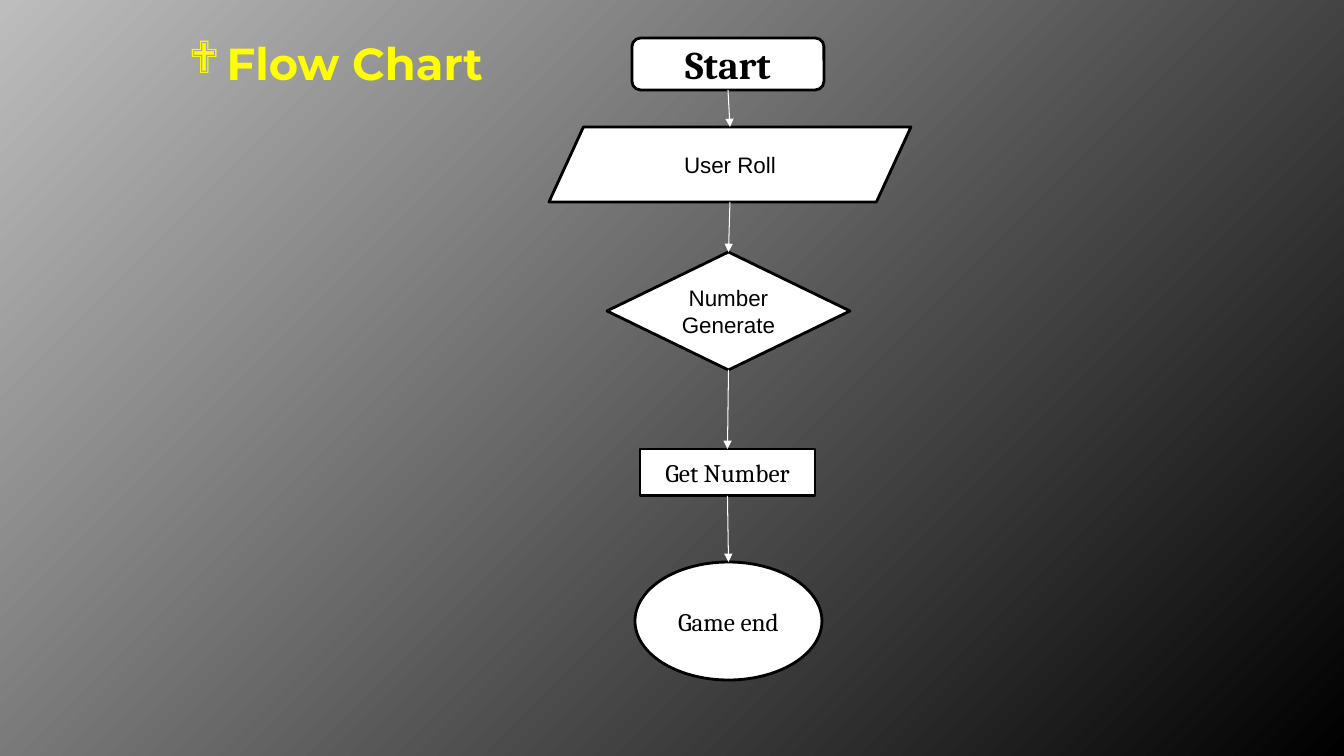
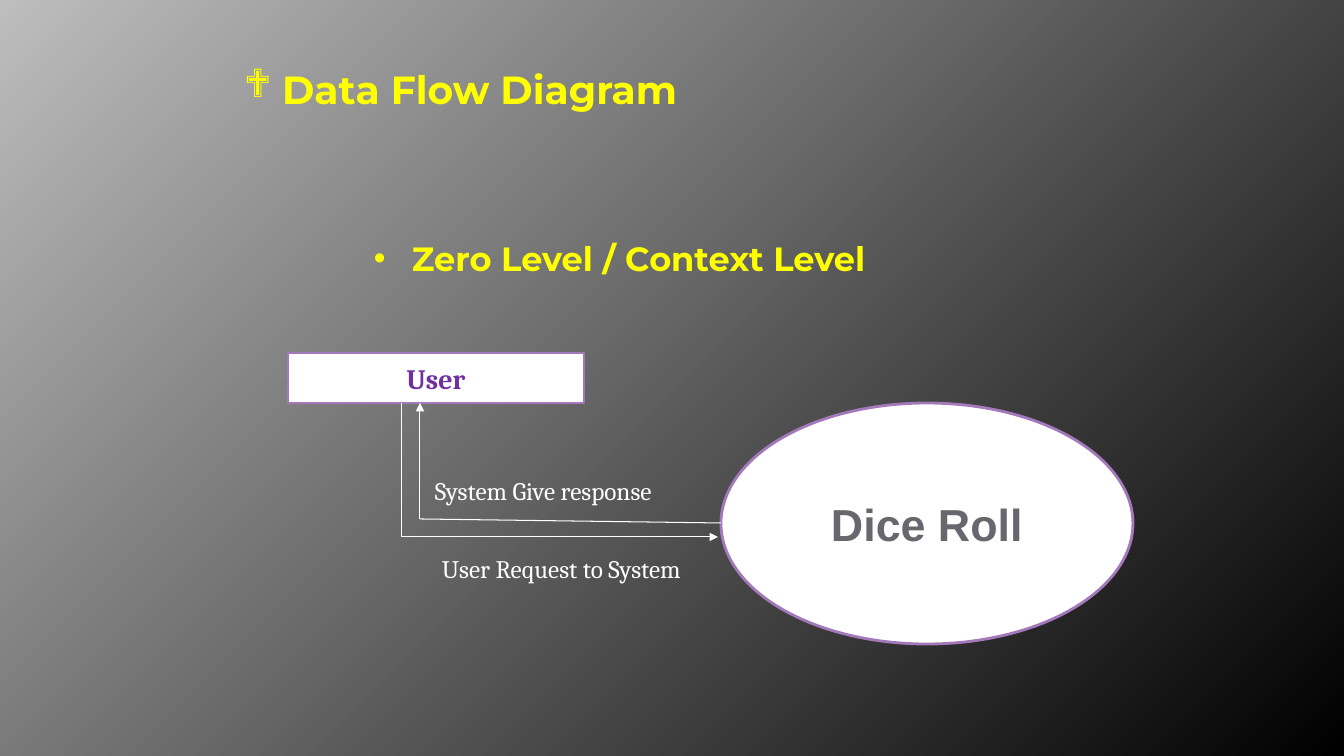
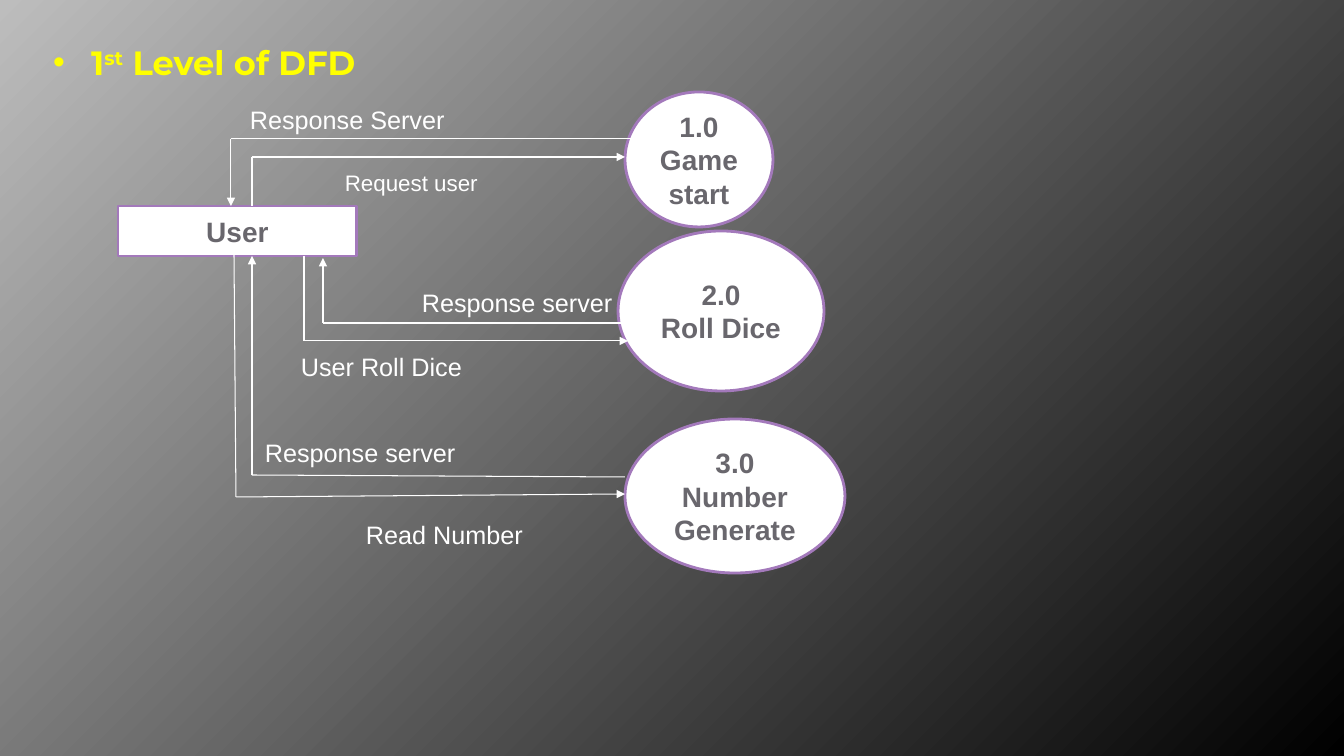
from dataclasses import dataclass

from lxml import etree
from pptx import Presentation
from pptx.dml.color import RGBColor
from pptx.enum.shapes import MSO_CONNECTOR, MSO_SHAPE
from pptx.enum.text import MSO_ANCHOR, MSO_AUTO_SIZE, PP_ALIGN
from pptx.oxml.ns import qn
from pptx.util import Emu, Pt

RECT = MSO_SHAPE.RECTANGLE
ROUND_RECT = MSO_SHAPE.ROUNDED_RECTANGLE
PARALLELOGRAM = MSO_SHAPE.PARALLELOGRAM
DIAMOND = MSO_SHAPE.DIAMOND
ELLIPSE = MSO_SHAPE.OVAL
STRAIGHT = MSO_CONNECTOR.STRAIGHT
TOP, MIDDLE = MSO_ANCHOR.TOP, MSO_ANCHOR.MIDDLE
GROW = MSO_AUTO_SIZE.SHAPE_TO_FIT_TEXT
LEFT, CENTER = PP_ALIGN.LEFT, PP_ALIGN.CENTER
EMU_PER_PX = 914400 / 100.8
TITLE_ONLY = 5


@dataclass(frozen=True)
class Theme:
    light: str = "BDBDBD"
    black: str = "000000"
    white: str = "FFFFFF"
    yellow: str = "FFFF00"
    lilac: str = "A379BB"
    purple: str = "7030A0"
    grey: str = "69676D"
    sans: str = "Arial"
    serif: str = "Cambria"
    heading: str = "Montserrat"
    title: int = 32
    subtitle: int = 28
    level: int = 24
    node: int = 20
    label: int = 18
    small: int = 16
    outline: float = 2
    arrow: float = 0.75
    diamonds: tuple = ("Wingdings", "\u2756")
    dot: tuple = ("Arial", "\u2022")


T = Theme()


def px(value):
    return Emu(round(value * EMU_PER_PX))


def rgb(color):
    return RGBColor.from_string(color)


def paint_background(master):
    fill = master.background.fill
    fill.gradient()
    for stop, position, color in zip(fill.gradient_stops, (0, 1), (T.light, T.black)):
        stop.position = position
        stop.color.rgb = rgb(color)
    grad = master.element.find(".//" + qn("a:gradFill"))
    grad.remove(grad.find(qn("a:lin")))
    path = etree.SubElement(grad, qn("a:path"), path="circle")
    etree.SubElement(path, qn("a:fillToRect"), r="100000", b="100000")


def style_text(tf, font, size, color, bold=False, align=LEFT):
    for p in tf.paragraphs:
        p.alignment = align
        for r in p.runs:
            r.font.name = font
            r.font.size = Pt(size)
            r.font.bold = bold
            r.font.color.rgb = rgb(color)


def add_bullet(p, bullet):
    font, char = bullet
    pPr = p._p.get_or_add_pPr()
    pPr.set("marL", str(px(38)))
    pPr.set("indent", str(-px(38)))
    etree.SubElement(pPr, qn("a:buFont"), typeface=font)
    etree.SubElement(pPr, qn("a:buChar"), char=char)


def fill_heading(sp, runs, size, bullet, align):
    tf = sp.text_frame
    tf.word_wrap = True
    tf.auto_size = GROW
    tf.vertical_anchor = TOP
    p = tf.paragraphs[0]
    for text in runs:
        p.add_run().text = text
    style_text(tf, T.heading, size, T.yellow, True, align)
    add_bullet(p, bullet)
    return p


def add_title(s, box, runs, size, bullet, align=CENTER):
    sp = s.shapes.title
    sp.left, sp.top, sp.width, sp.height = map(px, box)
    return fill_heading(sp, runs, size, bullet, align)


def add_label(s, box, text, font, size=T.label, wrap=False):
    tf = s.shapes.add_textbox(*map(px, box)).text_frame
    tf.text = text
    tf.word_wrap = wrap
    tf.auto_size = GROW
    style_text(tf, font, size, T.white)


def add_node(s, kind, box, text, font=T.sans, size=T.node, color=T.grey,
             bold=True, outline=T.lilac):
    sp = s.shapes.add_shape(kind, *map(px, box))
    sp.shadow.inherit = False
    sp.fill.solid()
    sp.fill.fore_color.rgb = rgb(T.white)
    sp.line.color.rgb = rgb(outline)
    sp.line.width = Pt(T.outline)
    tf = sp.text_frame
    tf.text = text
    tf.word_wrap = True
    tf.vertical_anchor = MIDDLE
    style_text(tf, font, size, color, bold, CENTER)
    return sp


def add_line(s, start, end, arrow):
    line = s.shapes.add_connector(STRAIGHT, *start, *end)
    line.line.color.rgb = rgb(T.white)
    line.line.width = Pt(T.arrow)
    if arrow:
        etree.SubElement(line.line._get_or_add_ln(), qn("a:tailEnd"), type="triangle")
    etree.SubElement(line._element.spPr, qn("a:effectLst"))


def add_route(s, *points):
    ends = [(px(x), px(y)) for x, y in points]
    for i in range(1, len(ends)):
        add_line(s, ends[i - 1], ends[i], i == len(ends) - 1)


def link_down(s, upper, lower):
    add_line(s, (upper.left + upper.width // 2, upper.top + upper.height),
             (lower.left + lower.width // 2, lower.top), True)


def build_flow_chart(s):
    add_title(s, (103, 31, 466, 65), ["Flow Chart"], T.title, T.diamonds)
    steps = [
        (ROUND_RECT, (632, 38, 192, 52), "Start", T.serif, T.subtitle, True),
        (PARALLELOGRAM, (549, 127, 362, 75), "User Roll", T.sans, T.small, False),
        (DIAMOND, (607, 252, 243, 118), "Number Generate", T.sans, T.small, False),
        (RECT, (640, 449, 175, 47), "Get Number", T.serif, T.label, False),
        (ELLIPSE, (635, 562, 187, 118), "Game end", T.serif, T.label, False),
    ]
    nodes = [add_node(s, kind, box, text, font, size, T.black, bold, T.black)
             for kind, box, text, font, size, bold in steps]
    nodes[1].adjustments[0] = 0.46
    for upper, lower in zip(nodes, nodes[1:]):
        link_down(s, upper, lower)


def build_context_level(s):
    add_title(s, (173, 60, 575, 57), ["Data Flow Diagram"], T.subtitle, T.diamonds)
    level = s.shapes.add_textbox(*map(px, (364, 233, 554, 50)))
    fill_heading(level, ["Zero Level / Context Level"], T.level, T.dot, LEFT)
    add_node(s, ELLIPSE, (721, 403, 412, 241), "Dice Roll", size=T.title)
    add_node(s, RECT, (288, 353, 296, 50), "User", T.serif, color=T.purple)
    add_route(s, (402, 403), (402, 537), (718, 537))
    add_route(s, (721, 523), (420, 519), (420, 403))
    add_label(s, (432, 548, 316, 40), "User Request to System", T.serif, wrap=True)
    add_label(s, (425, 470, 331, 40), "System Give response", T.serif, wrap=True)


def build_first_level(s):
    p = add_title(s, (43, 37, 428, 50), ["1", "st", " Level of DFD"], T.level, T.dot, LEFT)
    p.runs[1]._r.get_or_add_rPr().set("baseline", "30000")
    add_node(s, RECT, (118, 206, 239, 50), "User")
    for box, text in [
        ((625, 92, 148, 135), "1.0\nGame start"),
        ((618, 231, 206, 160), "2.0\nRoll Dice"),
        ((625, 419, 220, 154), "3.0\nNumber Generate"),
    ]:
        add_node(s, ELLIPSE, box, text)
    for route in [
        ((640, 139), (231, 139), (231, 206)),
        ((252, 206), (252, 157), (625, 157)),
        ((628, 323), (323, 323), (323, 258)),
        ((304, 256), (304, 341), (628, 341)),
        ((625, 477), (252, 475), (252, 256)),
        ((234, 253), (236, 497), (625, 494)),
    ]:
        add_route(s, *route)
    for box, text, size in [
        ((335, 164, 155, 37), "Request user", T.small),
        ((240, 99, 217, 40), "Response Server", T.label),
        ((412, 282, 213, 40), "Response server", T.label),
        ((291, 346, 182, 40), "User Roll Dice", T.label),
        ((255, 432, 213, 40), "Response server", T.label),
        ((356, 514, 178, 40), "Read Number", T.label),
    ]:
        add_label(s, box, text, T.sans, size)


def main():
    prs = Presentation()
    prs.slide_width, prs.slide_height = px(1344), px(756)
    paint_background(prs.slide_master)
    for build in (build_flow_chart, build_context_level, build_first_level):
        build(prs.slides.add_slide(prs.slide_layouts[TITLE_ONLY]))
    prs.save("out.pptx")


main()
